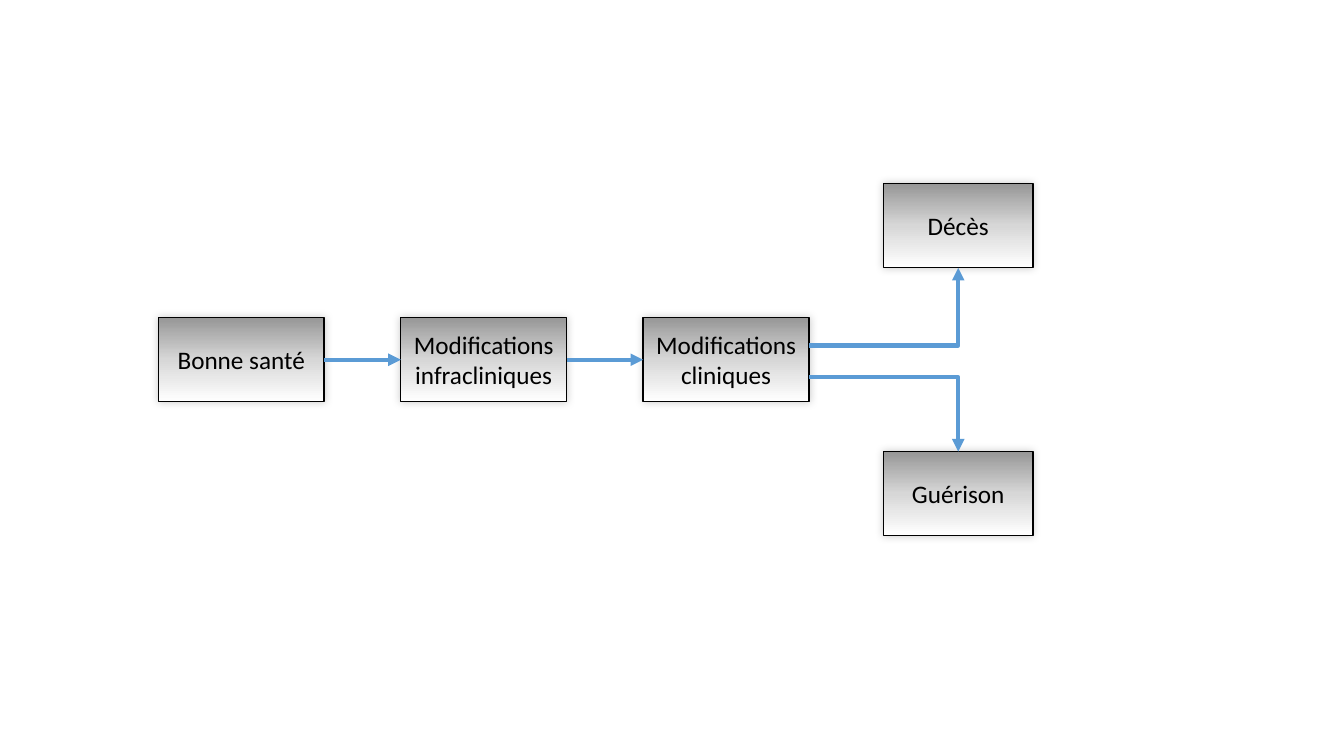
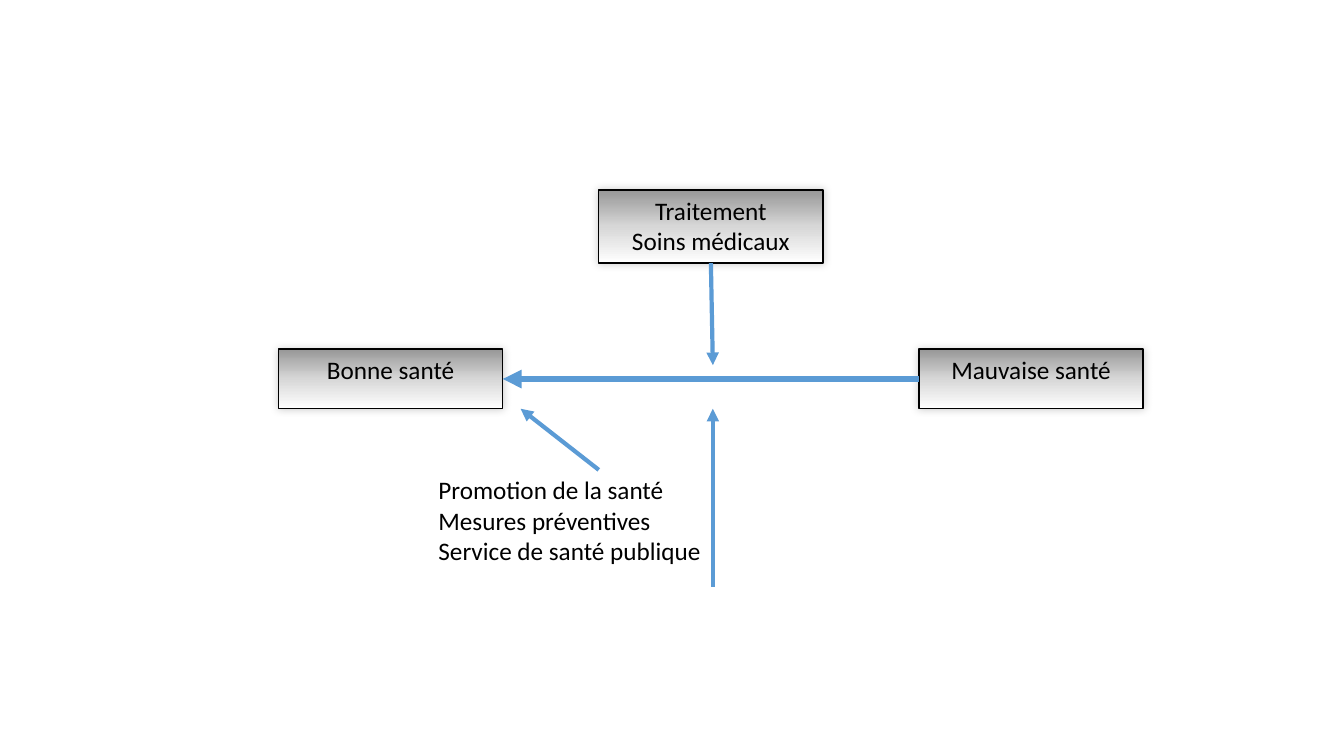
from collections import namedtuple

from lxml.etree import SubElement
from pptx import Presentation
from pptx.dml.color import RGBColor
from pptx.enum.shapes import MSO_CONNECTOR as Link, MSO_SHAPE as Preset
from pptx.enum.text import MSO_ANCHOR as Anchor, PP_ALIGN as Align
from pptx.oxml import parse_xml
from pptx.oxml.ns import nsdecls, qn
from pptx.util import Cm, Pt

# Shared style
COLORS = {"text": "000000", "border": "000000", "arrow": "5B9BD5", "shadow": "000000",
          "top": "979797", "middle": "D7D7D7", "bottom": "FFFFFF"}
FONT = "Calibri"

Region = namedtuple("Region", "left top width height")


def color(name):
    return RGBColor.from_string(COLORS[name])


def write(shape, lines, size=18, align=Align.LEFT, anchor=Anchor.TOP):
    """Put one paragraph per line into the shape."""
    frame = shape.text_frame
    frame.word_wrap = True
    frame.vertical_anchor = anchor
    frame.text = "\n".join(lines)
    for para in frame.paragraphs:
        para.alignment = align
        for span in para.runs:
            span.font.name = FONT
            span.font.size = Pt(size)
            span.font.color.rgb = color("text")


def gradient_fill(shape):
    shape.fill.gradient()
    shape.fill.gradient_angle = 270
    stops = shape.element.spPr.find(qn("a:gradFill")).find(qn("a:gsLst"))
    for stop in list(stops):
        stops.remove(stop)
    for percent, name in ((0, "top"), (50, "middle"), (100, "bottom")):
        stop = SubElement(stops, qn("a:gs"), pos=str(percent * 1000))
        SubElement(stop, qn("a:srgbClr"), val=COLORS[name])


def soft_shadow(shape):
    shape.shadow.inherit = False
    effects = shape.element.spPr.find(qn("a:effectLst"))
    effects.append(parse_xml(
        f'<a:outerShdw {nsdecls("a")} blurRad="{Pt(6)}" dist="0" dir="18900000" '
        f'algn="ctr" rotWithShape="0"><a:srgbClr val="{COLORS["shadow"]}">'
        '<a:alpha val="20000"/></a:srgbClr></a:outerShdw>'))


def add_box(page, left, top, width, height, *lines, anchor=Anchor.MIDDLE):
    box = page.shapes.add_shape(Preset.RECTANGLE, Cm(left), Cm(top), Cm(width), Cm(height))
    gradient_fill(box)
    box.line.color.rgb = color("border")
    box.line.width = Pt(1)
    soft_shadow(box)
    write(box, lines, align=Align.CENTER, anchor=anchor)


def add_arrow(page, start, end, weight=3, bent=False):
    kind = Link.ELBOW if bent else Link.STRAIGHT
    arrow = page.shapes.add_connector(kind, *(Cm(value) for value in (*start, *end)))
    arrow.line.color.rgb = color("arrow")
    arrow.line.width = Pt(weight)
    properties = arrow.element.spPr
    if bent:  # a single corner: across, then up or down
        properties.find(qn("a:prstGeom")).set("prst", "bentConnector2")
    SubElement(properties.find(qn("a:ln")), qn("a:tailEnd"), type="triangle")
    SubElement(properties, qn("a:effectLst"))


def disease_course(page, region):
    """A row of three states that forks into two outcomes."""
    state_width, outcome_width, height, pitch = 4.18, 3.76, 2.12, 6.11
    middle = region.top + region.height / 2

    # States
    names = ("Bonne santé", "Modifications infracliniques", "Modifications cliniques")
    for index, name in enumerate(names):
        left = region.left + index * pitch
        add_box(page, left, middle - height / 2, state_width, height, name)
        if index:
            add_arrow(page, (left - pitch + state_width, middle), (left, middle))

    # Outcomes
    outcome_left = region.left + region.width - outcome_width
    fork_left = region.left + 2 * pitch + state_width
    lowest = region.top + region.height - height
    for name, top, tip, offset in (("Décès", region.top, region.top + height, -0.36),
                                   ("Guérison", lowest, lowest, 0.44)):
        add_box(page, outcome_left, top, outcome_width, height, name)
        add_arrow(page, (fork_left, middle + offset),
                  (outcome_left + outcome_width / 2, tip), bent=True)


def health_actions(page, region):
    """Two opposite states and the actions that lead back to health."""
    width, state_height, care_height = 5.65, 1.5, 1.84
    state_top = region.top + 4.01
    state_middle = state_top + state_height / 2
    state_bottom = state_top + state_height
    good_right = region.left + width
    bad_left = region.left + region.width - width
    center = region.left + region.width / 2
    axis = center + 0.05

    # States
    for left, name in ((region.left, "Bonne santé"), (bad_left, "Mauvaise santé")):
        add_box(page, left, state_top, width, state_height, name, anchor=Anchor.TOP)
    add_arrow(page, (bad_left, state_middle), (good_right, state_middle), weight=4.5)

    # Care
    care_left = center - width / 2
    add_box(page, care_left, region.top, width, care_height,
            "Traitement", "Soins médicaux", anchor=Anchor.TOP)
    add_arrow(page, (center, region.top + care_height), (axis, state_top + 0.4))

    # Prevention
    note_top = state_bottom + 1.54
    add_arrow(page, (axis, region.top + region.height), (axis, state_bottom))
    add_arrow(page, (care_left, note_top), (good_right + 0.45, state_bottom))
    note = page.shapes.add_textbox(Cm(region.left + 3.78), Cm(note_top), Cm(7.75), Cm(2.57))
    write(note, ("Promotion de la santé", "Mesures préventives", "Service de santé publique"))


deck = Presentation()
deck.slide_width, deck.slide_height = Cm(33.87), Cm(19.05)
blank = deck.slide_layouts[6]
for build, region in ((disease_course, Region(3.99, 4.63, 22.04, 8.87)),
                      (health_actions, Region(7.02, 4.79, 21.79, 10))):
    build(deck.slides.add_slide(blank), region)
deck.save("out.pptx")
